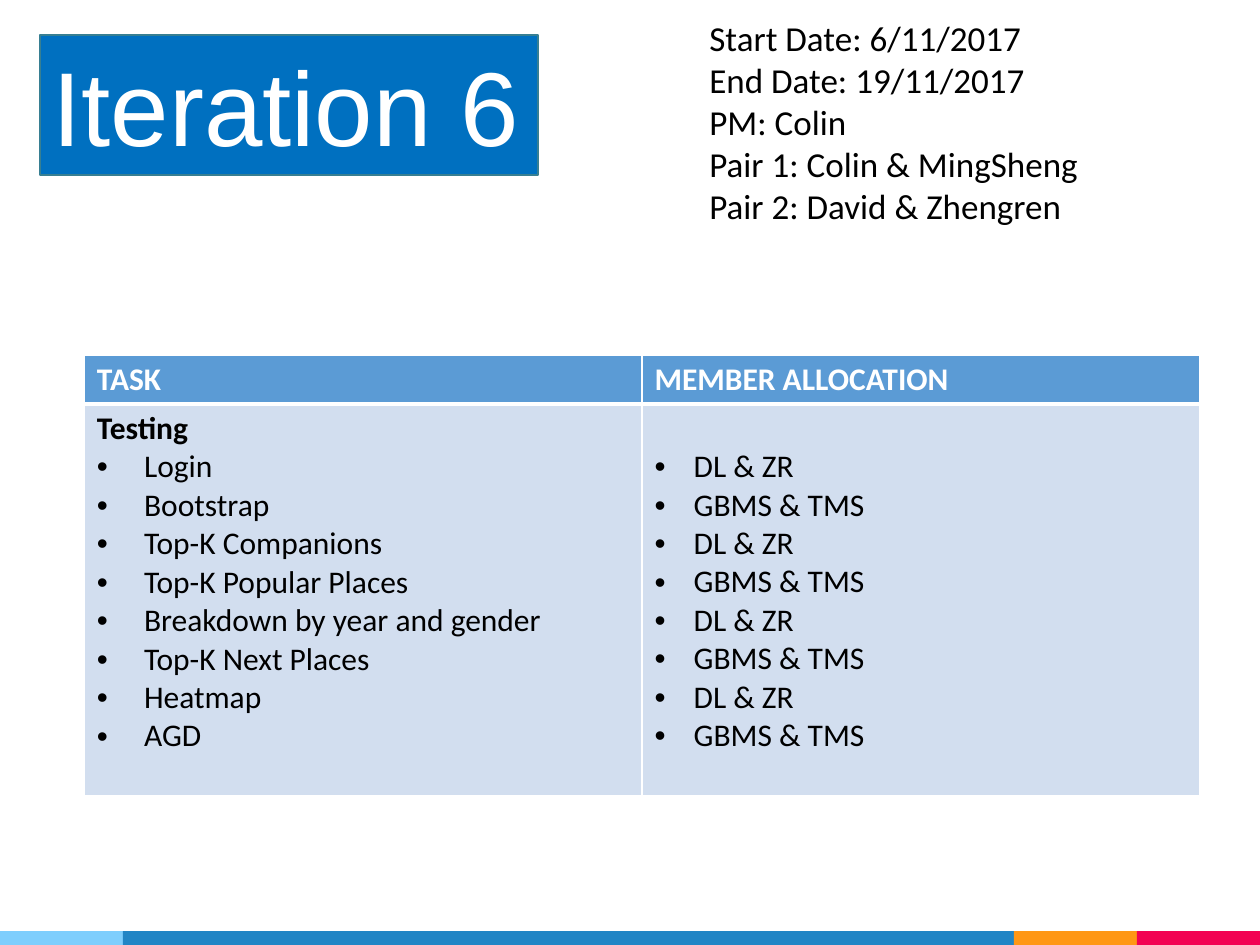
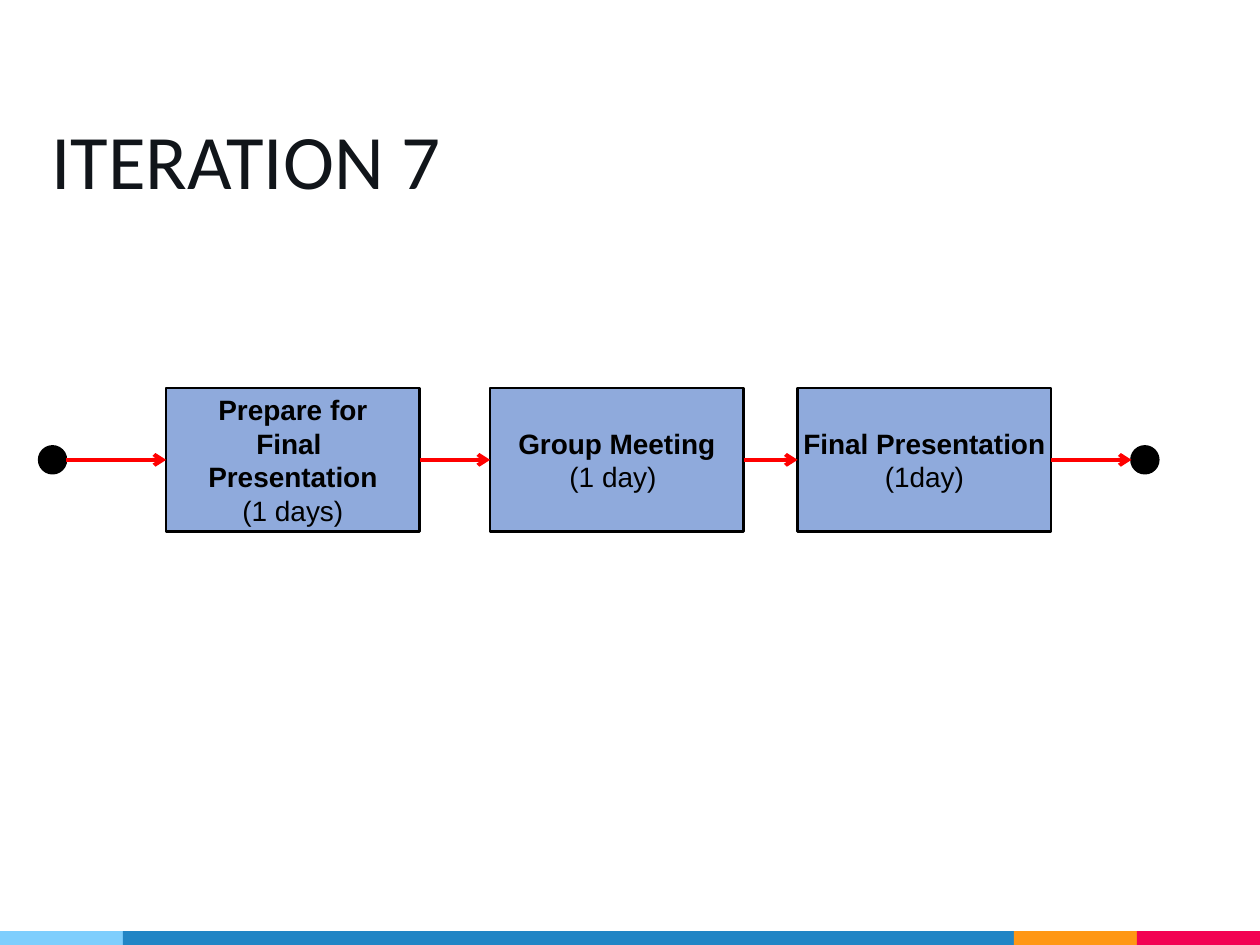
from dataclasses import dataclass
from itertools import pairwise

from lxml import etree
from pptx import Presentation
from pptx.dml.color import RGBColor
from pptx.enum.shapes import MSO_CONNECTOR, MSO_SHAPE
from pptx.enum.text import MSO_ANCHOR, PP_ALIGN
from pptx.oxml.ns import qn
from pptx.shapes.autoshape import Shape
from pptx.shapes.connector import Connector
from pptx.slide import Slide
from pptx.table import _Cell
from pptx.text.text import TextFrame, _Paragraph
from pptx.util import Cm, Pt

RECTANGLE, OVAL = MSO_SHAPE.RECTANGLE, MSO_SHAPE.OVAL
STRAIGHT = MSO_CONNECTOR.STRAIGHT
TOP, MIDDLE, BOTTOM = MSO_ANCHOR.TOP, MSO_ANCHOR.MIDDLE, MSO_ANCHOR.BOTTOM
LEFT, CENTER = PP_ALIGN.LEFT, PP_ALIGN.CENTER
LEFT_SIDE, RIGHT_SIDE = 1, 3

WHITE = RGBColor(0xFF, 0xFF, 0xFF)
BLACK = RGBColor(0x00, 0x00, 0x00)
INK = RGBColor(0x11, 0x15, 0x1A)
RED = RGBColor(0xFF, 0x00, 0x00)
TITLE_BLUE = RGBColor(0x00, 0x70, 0xC0)
TITLE_EDGE = RGBColor(0x37, 0x7F, 0x92)
HEADER_BLUE = RGBColor(0x5B, 0x9B, 0xD5)
BODY_BLUE = RGBColor(0xD2, 0xDE, 0xEF)
STEP_BLUE = RGBColor(0x8F, 0xAA, 0xDC)
BAND_SKY = RGBColor(0x7E, 0xCE, 0xFD)
BAND_BLUE = RGBColor(0x21, 0x85, 0xC5)
BAND_ORANGE = RGBColor(0xFF, 0x97, 0x15)
BAND_PINK = RGBColor(0xF2, 0x02, 0x53)

SANS, BODY = "Arial", "Calibri"


@dataclass(frozen=True)
class Box:
    """Position and size in centimetres."""
    left: float
    top: float
    width: float
    height: float


@dataclass(frozen=True)
class Style:
    font: str
    size: float
    color: RGBColor = BLACK


@dataclass(frozen=True)
class Run:
    text: str
    bold: bool = False


@dataclass(frozen=True)
class Step:
    left: float
    paragraphs: list[list[Run]]


@dataclass(frozen=True)
class Column:
    heading: str
    lead: str
    items: list[str]
    indent: float


TITLE_STYLE = Style(SANS, 60, WHITE)
PLAIN_TITLE_STYLE = Style(BODY, 44, INK)
DETAIL_STYLE = Style(BODY, 20)
HEADER_STYLE = Style(BODY, 18, WHITE)
CELL_STYLE = Style(BODY, 18)
STEP_STYLE = Style(SANS, 16)

BANDS = [(2.48, BAND_SKY), (17.96, BAND_BLUE), (2.48, BAND_ORANGE), (2.48, BAND_PINK)]
BAND_TOP, BAND_HEIGHT = 18.77, 0.28

DETAILS = [
    "Start Date: 6/11/2017",
    "End Date: 19/11/2017",
    "PM: Colin",
    "Pair 1: Colin & MingSheng",
    "Pair 2: David & Zhengren",
]
TASKS = ["Login", "Bootstrap", "Top-K Companions", "Top-K Popular Places",
         "Breakdown by year and gender", "Top-K Next Places", "Heatmap", "AGD"]
COLUMNS = [
    Column("TASK", "Testing", TASKS, 0.95),
    Column("MEMBER ALLOCATION", "", ["DL & ZR", "GBMS & TMS"] * (len(TASKS) // 2), 0.79),
]
TABLE_BOX = Box(1.7, 7.16, 22.48, 8.84)
HEADER_HEIGHT = 0.95
CELL_INSET, CELL_LINE = 0.11, 0.77

STEPS = [
    Step(3.35, [[Run("Prepare for\nFinal \nPresentation", True)], [Run("(1 days)")]]),
    Step(9.88, [[Run("Group Meeting\n", True), Run("(1 day) ")]]),
    Step(16.08, [[Run("Final Presentation\n", True), Run("(1day)")]]),
]
STEP_TOP, STEP_WIDTH, STEP_HEIGHT = 7.82, 5.11, 2.9
DOT_SIZE, DOT_LEFTS = 0.54, (0.79, 22.81)


def add_run(paragraph: _Paragraph, run: Run, style: Style) -> None:
    """Add the run, turning each newline into a line break."""
    for index, line in enumerate(run.text.split("\n")):
        if index:
            paragraph.add_line_break()
        if line:
            piece = paragraph.add_run()
            piece.text = line
            piece.font.name = style.font
            piece.font.size = Pt(style.size)
            piece.font.bold = run.bold
            piece.font.color.rgb = style.color


def write(frame: TextFrame, paragraphs: list[list[Run]], style: Style,
          align: PP_ALIGN = LEFT) -> None:
    for index, runs in enumerate(paragraphs):
        paragraph = frame.add_paragraph() if index else frame.paragraphs[0]
        paragraph.alignment = align
        for run in runs:
            add_run(paragraph, run, style)


def set_bullet(paragraph: _Paragraph, indent: float) -> None:
    properties = paragraph._p.get_or_add_pPr()
    properties.set("marL", str(Cm(indent)))
    properties.set("indent", str(-Cm(indent)))
    etree.SubElement(properties, qn("a:buFont"), typeface="Arial")
    etree.SubElement(properties, qn("a:buChar"), char="•")


def add_filled(slide: Slide, kind: MSO_SHAPE, box: Box, fill: RGBColor,
               line: RGBColor | None = None, line_width: float = 1) -> Shape:
    shape = slide.shapes.add_shape(kind, Cm(box.left), Cm(box.top),
                                   Cm(box.width), Cm(box.height))
    shape.shadow.inherit = False
    shape.fill.solid()
    shape.fill.fore_color.rgb = fill
    if line is None:
        shape.line.fill.background()
    else:
        shape.line.color.rgb = line
        shape.line.width = Pt(line_width)
    return shape


def add_text(slide: Slide, box: Box, lines: list[str], style: Style) -> TextFrame:
    frame = slide.shapes.add_textbox(Cm(box.left), Cm(box.top),
                                     Cm(box.width), Cm(box.height)).text_frame
    frame.word_wrap = True
    write(frame, [[Run(line)] for line in lines], style)
    return frame


def add_slide(presentation: Presentation) -> Slide:
    """Add a blank slide with the coloured bands along its foot."""
    slide = presentation.slides.add_slide(presentation.slide_layouts[6])
    left = 0.0
    for width, color in BANDS:
        add_filled(slide, RECTANGLE, Box(left, BAND_TOP, width, BAND_HEIGHT), color)
        left += width
    return slide


def paint_cell(cell: _Cell, fill: RGBColor, bottom_width: float = 1) -> None:
    properties = cell._tc.get_or_add_tcPr()
    for side, width in (("L", 1), ("R", 1), ("T", 1), ("B", bottom_width)):
        border = etree.SubElement(properties, qn(f"a:ln{side}"), w=str(Pt(width)))
        solid = etree.SubElement(border, qn("a:solidFill"))
        etree.SubElement(solid, qn("a:srgbClr"), val=str(WHITE))
    cell.fill.solid()
    cell.fill.fore_color.rgb = fill
    cell.margin_top = cell.margin_bottom = Cm(CELL_INSET)


def add_task_table(slide: Slide) -> None:
    table = slide.shapes.add_table(
        2, len(COLUMNS), Cm(TABLE_BOX.left), Cm(TABLE_BOX.top),
        Cm(TABLE_BOX.width), Cm(TABLE_BOX.height)).table
    table.rows[0].height = Cm(HEADER_HEIGHT)
    table.rows[1].height = Cm(TABLE_BOX.height - HEADER_HEIGHT)
    for index, column in enumerate(COLUMNS):
        header, body = table.cell(0, index), table.cell(1, index)
        paint_cell(header, HEADER_BLUE, bottom_width=3)
        write(header.text_frame, [[Run(column.heading, True)]], HEADER_STYLE)
        paint_cell(body, BODY_BLUE)
        lead = [[Run(column.lead, True)]] if column.lead else []
        if not lead:
            body.margin_top = Cm(CELL_INSET + CELL_LINE)
        write(body.text_frame, lead + [[Run(item)] for item in column.items], CELL_STYLE)
        for paragraph in body.text_frame.paragraphs[len(lead):]:
            set_bullet(paragraph, column.indent)


def add_step(slide: Slide, step: Step) -> Shape:
    shape = add_filled(slide, RECTANGLE, Box(step.left, STEP_TOP, STEP_WIDTH, STEP_HEIGHT),
                       STEP_BLUE, BLACK, 1.5)
    frame = shape.text_frame
    frame.word_wrap = False
    frame.vertical_anchor = MIDDLE
    frame.margin_left = frame.margin_right = Cm(0.2)
    frame.margin_top = frame.margin_bottom = Cm(0.1)
    write(frame, step.paragraphs, STEP_STYLE, CENTER)
    return shape


def add_arrow(slide: Slide, source: Shape, target: Shape) -> Connector:
    """Join the right side of source to the left side of target."""
    arrow = slide.shapes.add_connector(
        STRAIGHT, source.left + source.width, source.top + source.height // 2,
        target.left, target.top + target.height // 2)
    if source.auto_shape_type == RECTANGLE:
        arrow.begin_connect(source, RIGHT_SIDE)
    if target.auto_shape_type == RECTANGLE:
        arrow.end_connect(target, LEFT_SIDE)
    arrow.line.color.rgb = RED
    arrow.line.width = Pt(2.25)
    properties = arrow._element.spPr
    etree.SubElement(properties.find(qn("a:ln")), qn("a:tailEnd"), type="arrow")
    etree.SubElement(properties, qn("a:effectLst"))
    return arrow


def build_iteration_6(presentation: Presentation) -> None:
    slide = add_slide(presentation)
    title = add_filled(slide, RECTANGLE, Box(0.81, 0.71, 10.03, 2.82), TITLE_BLUE, TITLE_EDGE)
    title.text_frame.vertical_anchor = TOP
    write(title.text_frame, [[Run("Iteration 6")]], TITLE_STYLE)
    add_text(slide, Box(14.05, 0.2, 11.35, 4.52), DETAILS, DETAIL_STYLE)
    add_task_table(slide)


def build_iteration_7(presentation: Presentation) -> None:
    slide = add_slide(presentation)
    title = add_text(slide, Box(0.79, 2.01, 19.18, 2.39), ["ITERATION 7"], PLAIN_TITLE_STYLE)
    title.vertical_anchor = BOTTOM
    title.margin_top = title.margin_bottom = Cm(0.25)
    title.paragraphs[0].line_spacing = 0.9

    dot_top = STEP_TOP + (STEP_HEIGHT - DOT_SIZE) / 2
    start, finish = (
        add_filled(slide, OVAL, Box(left, dot_top, DOT_SIZE, DOT_SIZE), BLACK, BLACK, 1.5)
        for left in DOT_LEFTS)
    steps = [add_step(slide, step) for step in STEPS]
    for source, target in pairwise([start, *steps, finish]):
        add_arrow(slide, source, target)


def main() -> None:
    presentation = Presentation()
    presentation.slide_width, presentation.slide_height = Cm(25.4), Cm(19.05)
    build_iteration_6(presentation)
    build_iteration_7(presentation)
    presentation.save("out.pptx")


if __name__ == "__main__":
    main()
